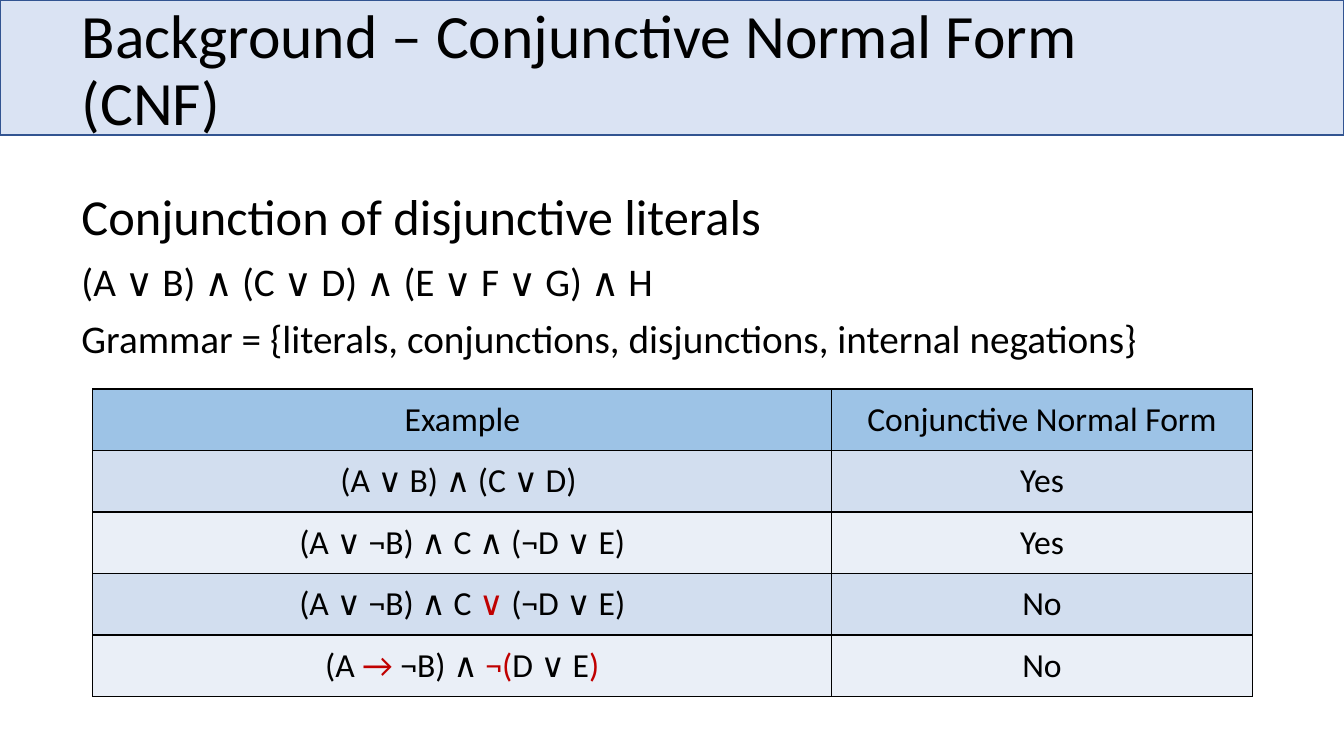
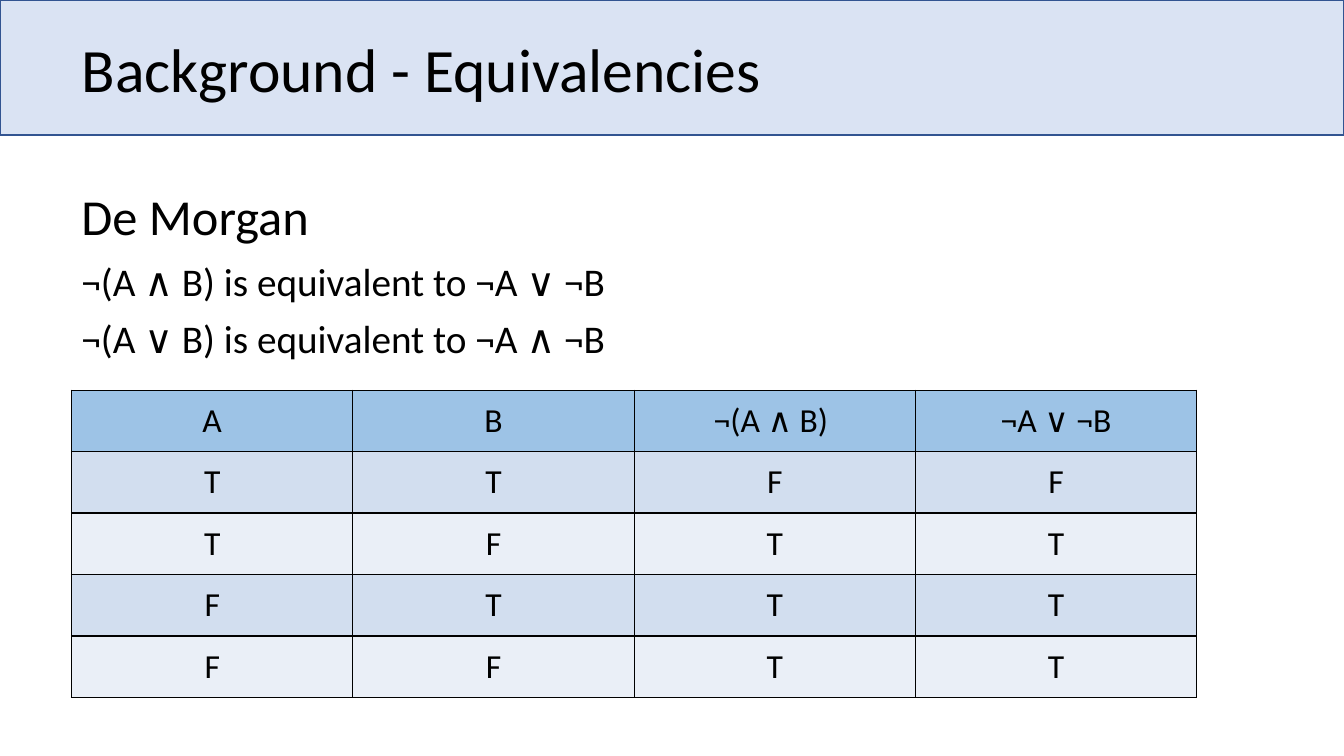
from dataclasses import dataclass

from lxml import etree
from pptx import Presentation
from pptx.dml.color import RGBColor
from pptx.enum import shapes, text
from pptx.oxml import ns
from pptx.util import Inches, Pt


@dataclass(frozen=True)
class Theme:
    font: str = "Calibri"
    ink: str = "000000"
    accent: str = "C00000"
    band: str = "DAE3F3"
    band_line: str = "325491"
    header: str = "9DC3E6"
    stripes: tuple = ("D2DEEF", "EAEFF7")
    title_size: int = 44
    heading_size: int = 36
    body_size: int = 28
    table_size: int = 24
    line_width: int = 1


THEME = Theme()
SLIDE_WIDTH, SLIDE_HEIGHT = 13.33, 7.5
MARGIN = 0.71
BAND_BOX = (0, 0, SLIDE_WIDTH, 1.34)
TITLE_BOX = (MARGIN, -0.01, 11.5, 1.45)
STATEMENT_BOX = (MARGIN, 1.79, 11.92, 1.85)
HEADING_HEIGHT, LINE_HEIGHT = 0.71, 0.57
ROW_HEIGHT = 0.61


def color(value):
    return RGBColor.from_string(value)


def inches(box):
    return [Inches(length) for length in box]


def format_run(run, size, ink=THEME.ink):
    run.font.name = THEME.font
    run.font.size = Pt(size)
    run.font.color.rgb = color(ink)


# Title and the band behind it
def add_title(slide, title_text):
    title = slide.shapes.title
    title.left, title.top, title.width, title.height = inches(TITLE_BOX)
    frame = title.text_frame
    frame.text = title_text
    frame.word_wrap = True
    frame.auto_size = text.MSO_AUTO_SIZE.NONE
    frame.vertical_anchor = text.MSO_ANCHOR.MIDDLE
    paragraph = frame.paragraphs[0]
    paragraph.alignment = text.PP_ALIGN.LEFT
    paragraph.line_spacing = 0.9
    paragraph.space_before = Pt(0)
    format_run(paragraph.runs[0], THEME.title_size)

    band = slide.shapes.add_shape(shapes.MSO_SHAPE.RECTANGLE, *inches(BAND_BOX))
    band.shadow.inherit = False
    band.fill.solid()
    band.fill.fore_color.rgb = color(THEME.band)
    band.line.color.rgb = color(THEME.band_line)
    band.line.width = Pt(THEME.line_width)
    title.element.addprevious(band.element)


# Heading with formula lines stacked below it
def add_statements(slide, box, heading, lines):
    left, top, width, _ = box
    rows = [(heading, THEME.heading_size, HEADING_HEIGHT)]
    rows += [(line, THEME.body_size, LINE_HEIGHT) for line in lines]
    for content, size, height in rows:
        text_box = slide.shapes.add_textbox(*inches((left, top, width, height)))
        frame = text_box.text_frame
        frame.text = content
        frame.word_wrap = True
        frame.auto_size = text.MSO_AUTO_SIZE.SHAPE_TO_FIT_TEXT
        format_run(frame.paragraphs[0].runs[0], size)
        top += height


def add_borders(cell):
    properties = cell._tc.get_or_add_tcPr()
    for side in ("lnL", "lnR", "lnT", "lnB"):
        line = etree.SubElement(properties, ns.qn(f"a:{side}"), w=str(Pt(THEME.line_width)))
        fill = etree.SubElement(line, ns.qn("a:solidFill"))
        etree.SubElement(fill, ns.qn("a:srgbClr"), val=THEME.ink)


# Every second segment between bars is shown in the accent colour
def fill_cell(cell, content, background):
    add_borders(cell)
    cell.fill.solid()
    cell.fill.fore_color.rgb = color(background)
    cell.vertical_anchor = text.MSO_ANCHOR.MIDDLE
    paragraph = cell.text_frame.paragraphs[0]
    paragraph.alignment = text.PP_ALIGN.CENTER
    for index, segment in enumerate(content.split("|")):
        if segment:
            run = paragraph.add_run()
            run.text = segment
            format_run(run, THEME.table_size, THEME.accent if index % 2 else THEME.ink)


# Striped table with a header row
def add_logic_table(slide, left, top, column_widths, rows):
    box = (left, top, sum(column_widths), ROW_HEIGHT * len(rows))
    table = slide.shapes.add_table(len(rows), len(column_widths), *inches(box)).table
    for column, width in zip(table.columns, column_widths):
        column.width = Inches(width)
    for row_index, row in enumerate(rows):
        table.rows[row_index].height = Inches(ROW_HEIGHT)
        background = THEME.stripes[(row_index - 1) % 2] if row_index else THEME.header
        for column_index, content in enumerate(row):
            fill_cell(table.cell(row_index, column_index), content, background)


def add_background_slide(presentation, title, heading, lines, table):
    slide = presentation.slides.add_slide(presentation.slide_layouts[5])
    add_title(slide, title)
    add_statements(slide, STATEMENT_BOX, heading, lines)
    add_logic_table(slide, **table)


presentation = Presentation()
presentation.slide_width = Inches(SLIDE_WIDTH)
presentation.slide_height = Inches(SLIDE_HEIGHT)

# Conjunctive normal form
add_background_slide(
    presentation,
    "Background – Conjunctive Normal Form (CNF)",
    "Conjunction of disjunctive literals",
    [
        "(A ∨ B) ∧ (C ∨ D) ∧ (E ∨ F ∨ G) ∧ H",
        "Grammar = {literals, conjunctions, disjunctions, internal negations}",
    ],
    dict(left=0.92, top=3.86, column_widths=[7.33, 4.17], rows=[
        ("Example", "Conjunctive Normal Form"),
        ("(A ∨ B) ∧ (C ∨ D) ", "Yes"),
        ("(A ∨ ¬B) ∧ C ∧ (¬D ∨ E)", "Yes"),
        ("(A ∨ ¬B) ∧ C |∨| (¬D ∨ E)", "No"),
        ("(A |→ |¬B) ∧ |¬(|D ∨ E|)|", "No"),
    ]),
)

# Equivalencies
add_background_slide(
    presentation,
    "Background - Equivalencies",
    "De Morgan",
    [
        "¬(A ∧ B) is equivalent to ¬A ∨ ¬B",
        "¬(A ∨ B) is equivalent to ¬A ∧ ¬B",
    ],
    dict(left=MARGIN, top=3.87, column_widths=[2.79] * 4, rows=[
        ("A", "B", "¬(A ∧ B) ", "¬A ∨ ¬B"),
        "TTFF",
        "TFTT",
        "FTTT",
        "FFTT",
    ]),
)

presentation.save("out.pptx")
